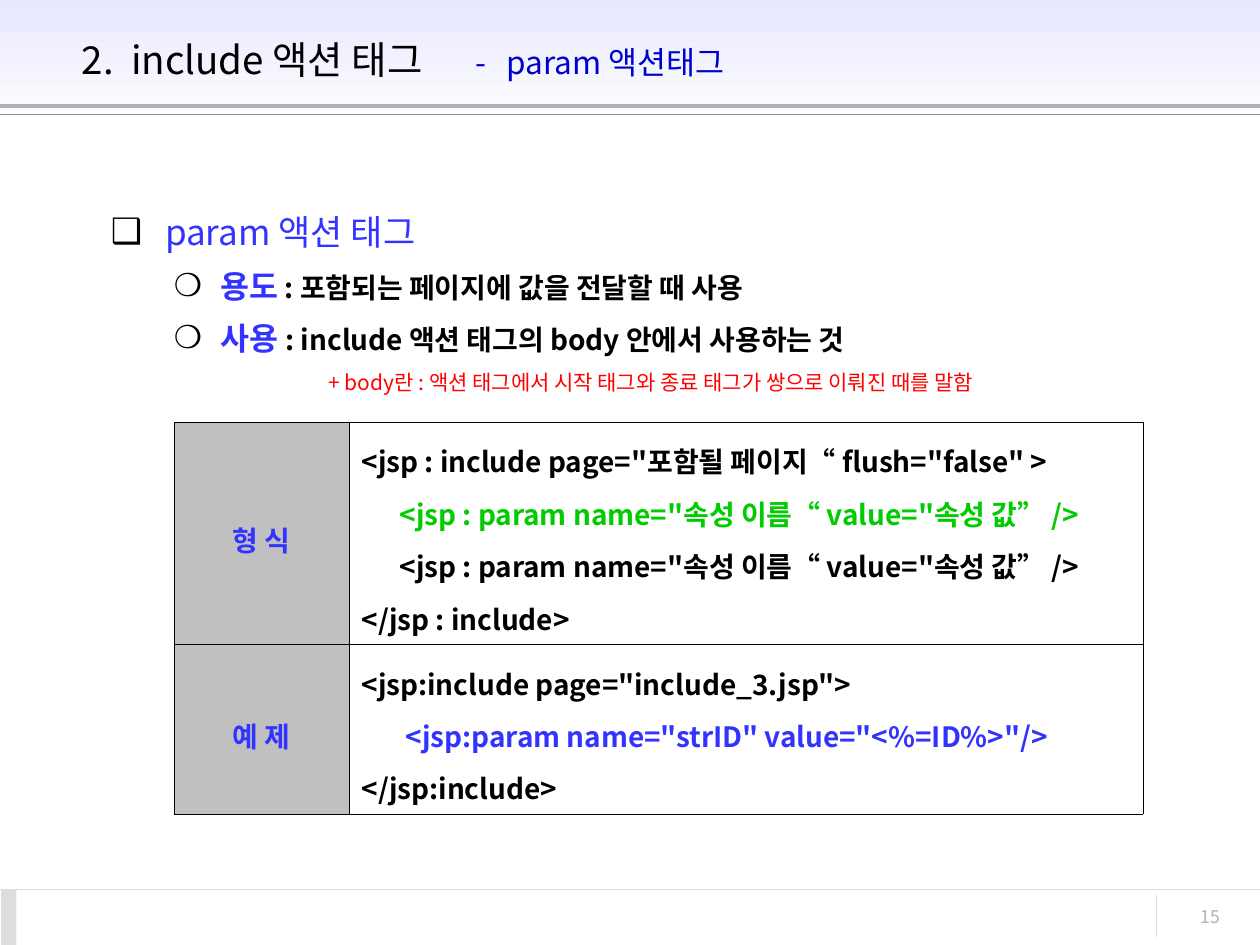
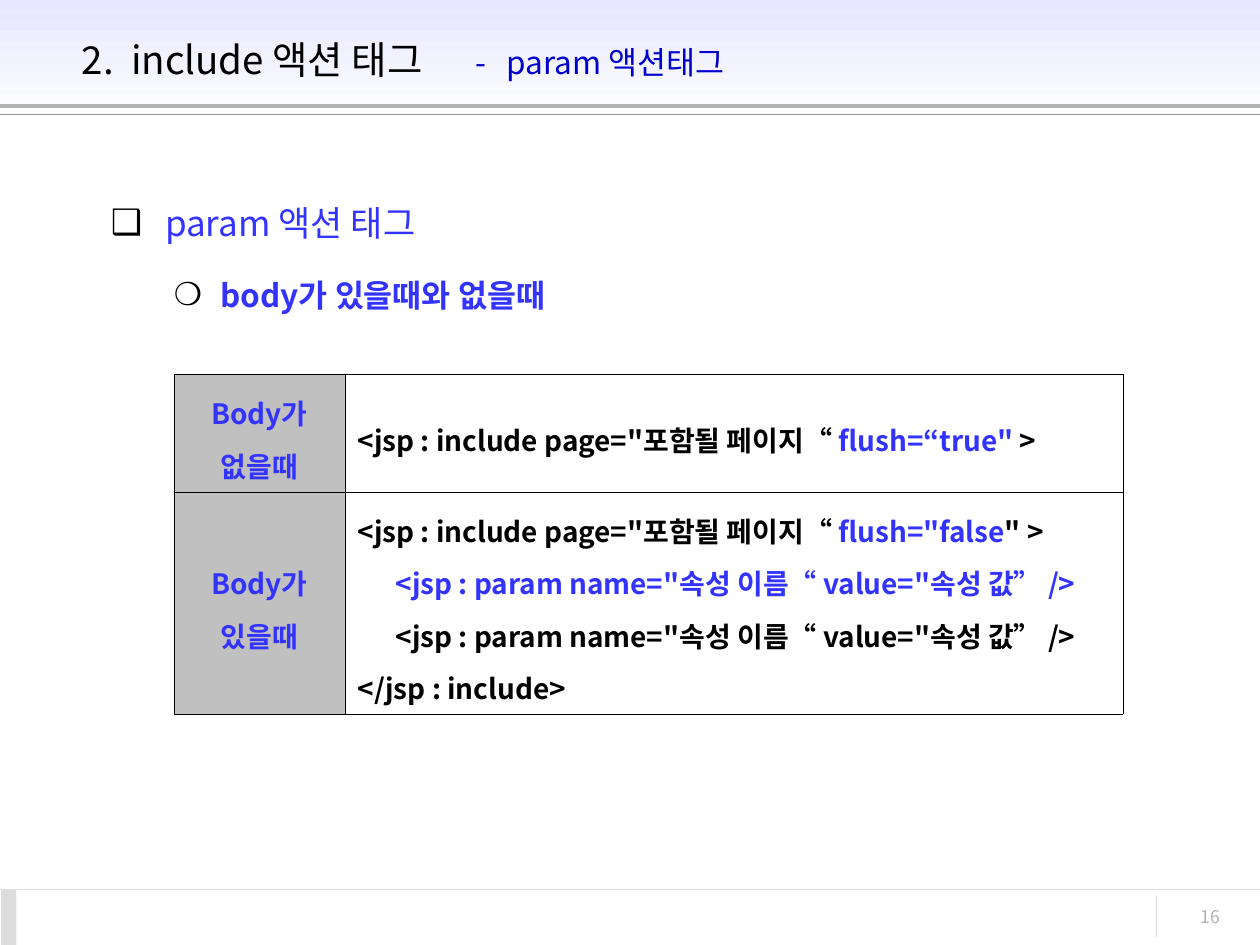
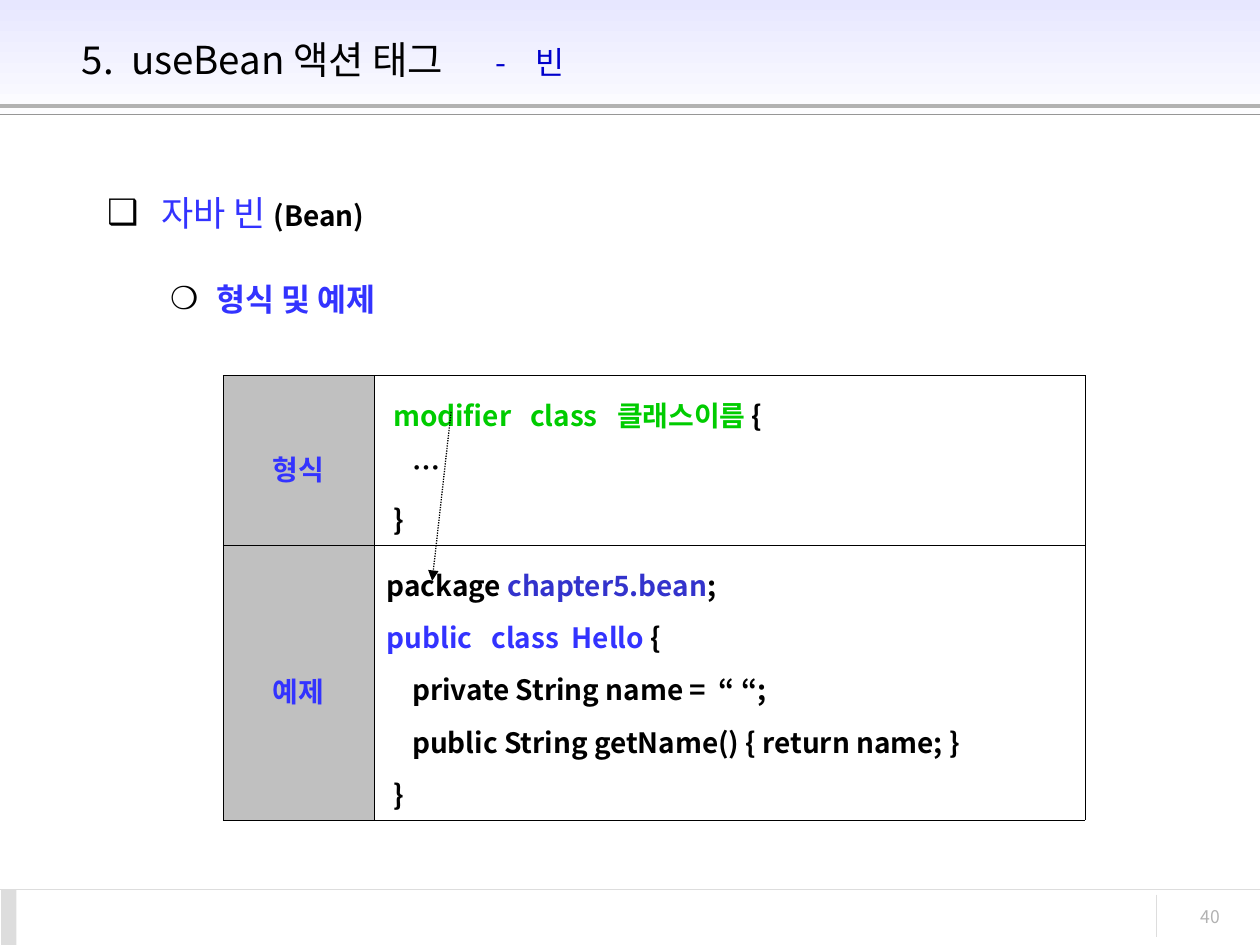
from dataclasses import dataclass, replace

from lxml.etree import SubElement
from pptx import Presentation
from pptx.dml.color import RGBColor
from pptx.enum.dml import MSO_LINE_DASH_STYLE as Dash
from pptx.enum.shapes import MSO_CONNECTOR as Connector, MSO_SHAPE as Shape
from pptx.enum.text import MSO_ANCHOR as Anchor, MSO_AUTO_SIZE as AutoSize, PP_ALIGN as Align
from pptx.oxml import parse_xml
from pptx.oxml.ns import nsdecls, qn
from pptx.util import Inches, Pt

FONT = "Noto Sans CJK KR"
CELL = Inches(0.1)  # the slide is a grid of 100 columns and 75 rows
COLUMNS, ROWS = 100, 75

BLACK = RGBColor(0x00, 0x00, 0x00)
WHITE = RGBColor(0xFF, 0xFF, 0xFF)
BLUE = RGBColor(0x33, 0x33, 0xFF)
PACKAGE_BLUE = RGBColor(0x33, 0x33, 0xCC)
SUBTITLE_BLUE = RGBColor(0x00, 0x00, 0xCC)
GREEN = RGBColor(0x00, 0xCC, 0x00)
RED = RGBColor(0xFF, 0x00, 0x00)
LAVENDER = RGBColor(0xE7, 0xE7, 0xFF)
LABEL_GRAY = RGBColor(0xC0, 0xC0, 0xC0)
RULE_GRAY = RGBColor(0xB2, 0xB2, 0xB2)
THIN_RULE_GRAY = RGBColor(0x96, 0x96, 0x96)
FOOTER_GRAY = RGBColor(0xDD, 0xDD, 0xDD)


@dataclass(frozen=True)
class Look:
    size: int
    color: RGBColor = BLACK
    bold: bool = False

    def apply(self, font):
        font.size, font.bold = Pt(self.size), self.bold
        font.color.rgb = self.color


TITLE = Look(22)
SUBTITLE = Look(18, SUBTITLE_BLUE)
TOPIC = Look(20, BLUE)
POINT = Look(18, BLUE, True)
DETAIL = Look(16, BLACK, True)
LABEL = Look(16, BLUE, True)
NOTE = Look(12, RED)
PAGE_NUMBER = Look(10, RULE_GRAY)


def grid(*cells):
    return [round(count * CELL) for count in cells]


def write(paragraph, look, *pieces):
    """Fill a paragraph; a piece is a string or a (string, own look) pair."""
    paragraph.font.name = FONT
    SubElement(paragraph.font._element, qn("a:ea"), typeface=FONT)
    look.apply(paragraph.font)
    for piece in pieces:
        text, own_look = (piece, look) if isinstance(piece, str) else piece
        run = paragraph.add_run()
        run.text = text
        if own_look != look:
            own_look.apply(run.font)


def paragraphs(frame, count):
    return [frame.paragraphs[0]] + [frame.add_paragraph() for _ in range(count - 1)]


def add_tabs(paragraph, stops):
    tabs = SubElement(paragraph._p.get_or_add_pPr(), qn("a:tabLst"))
    for stop in grid(*stops):
        SubElement(tabs, qn("a:tab"), pos=str(stop), algn="l")


def add_bullet(paragraph, symbol, margin, hanging):
    properties = paragraph._p.get_or_add_pPr()
    left, indent = grid(margin, -hanging)
    properties.set("marL", str(left))
    properties.set("indent", str(indent))
    color = SubElement(properties, qn("a:buClr"))
    SubElement(color, qn("a:srgbClr"), val=str(BLACK))
    SubElement(properties, qn("a:buChar"), char=symbol)


def border(cell):
    properties = cell._tc.get_or_add_tcPr()
    for place, side in enumerate(("lnL", "lnR", "lnT", "lnB")):
        properties.insert(place, parse_xml(
            f'<a:{side} {nsdecls("a")} w="{Pt(0.11)}"><a:solidFill>'
            f'<a:srgbClr val="{BLACK}"/></a:solidFill></a:{side}>'))


class Lecture:
    def __init__(self):
        self.deck = Presentation()
        self.deck.slide_width, self.deck.slide_height = grid(COLUMNS, ROWS)
        self.layout = self.deck.slide_layouts[1]
        self.slide = None

    def start(self, page, title, subtitle, stops):
        first = self.slide is None
        self.slide = self.deck.slides.add_slide(self.layout)
        if first:
            self.share_frame()
        self.heading(title, subtitle, stops)
        self.text((88.6, 71.4, 9.2, 3.3), PAGE_NUMBER, str(page), align=Align.RIGHT)

    def share_frame(self):
        """Draw the bands and rules, then hand them to the layout."""
        header = self.block((0, 0, COLUMNS, 10))
        header.fill.gradient()
        header.fill.gradient_angle = 270
        for stop, color in zip(header.fill.gradient_stops, (LAVENDER, WHITE)):
            stop.color.rgb = color
        footer_mark = self.block((0.1, 70.6, 1.2, 4.4))
        footer_mark.fill.solid()
        footer_mark.fill.fore_color.rgb = FOOTER_GRAY
        rules = [
            self.line((0, 8.4), (COLUMNS, 8.4), RULE_GRAY, 2.25),
            self.line((0, 9.1), (COLUMNS, 9.1), THIN_RULE_GRAY),
            self.line((0, 70.6), (COLUMNS, 70.6), FOOTER_GRAY),
            self.line((91.8, 71), (91.8, 74.4), FOOTER_GRAY),
        ]
        for number, part in enumerate([header, footer_mark, *rules], start=20):
            part.element.xpath(".//p:cNvPr")[0].set("id", str(number))
            self.layout.shapes.element.append(part.element)

    def block(self, box):
        block = self.slide.shapes.add_shape(Shape.RECTANGLE, *grid(*box))
        block.shadow.inherit = False
        block.line.fill.background()
        return block

    def line(self, start, end, color, width=0.75):
        line = self.slide.shapes.add_connector(Connector.STRAIGHT, *grid(*start, *end))
        line.line.color.rgb, line.line.width = color, Pt(width)
        SubElement(line.element.spPr, qn("a:effectLst"))
        return line

    def dotted_arrow(self, start, end):
        arrow = self.line(start, end, BLACK)
        arrow.line.dash_style = Dash.ROUND_DOT
        SubElement(arrow.element.spPr.find(qn("a:ln")), qn("a:tailEnd"), type="triangle")

    def text(self, box, look, words, align=Align.LEFT, wrap=True):
        frame = self.slide.shapes.add_textbox(*grid(*box)).text_frame
        frame.word_wrap = wrap
        frame.auto_size = AutoSize.NONE if wrap else AutoSize.SHAPE_TO_FIT_TEXT
        frame.paragraphs[0].alignment = align
        write(frame.paragraphs[0], look, words)

    def place(self, holder, box):
        holder.left, holder.top, holder.width, holder.height = grid(*box)
        holder.text_frame.auto_size = AutoSize.NONE
        return holder.text_frame

    def heading(self, title, subtitle, stops):
        frame = self.place(self.slide.shapes.title, (5.5, 1.3, 86.3, 6.8))
        frame.vertical_anchor = Anchor.MIDDLE
        heading = frame.paragraphs[0]
        heading.alignment = Align.LEFT
        add_tabs(heading, stops)
        write(heading, TITLE, title + "\t", (subtitle, SUBTITLE))

    def outline(self, left, top, topic, *points, gap=0, before=4.5):
        """Write a topic and the points below it; each is a list of pieces."""
        frame = self.place(self.slide.placeholders[1], (left, top, 86.7, 49.5))
        for rank, line in enumerate(paragraphs(frame, 1 + len(points))):
            if rank:
                line.level = 1
                add_bullet(line, "❍", 8.7, 3.7)
            else:
                add_bullet(line, "❑", 4.3, 4.3)
            line.line_spacing = 1.2
            line.space_before = Pt(before if rank else 0)
            line.space_after = Pt(0 if rank else gap)
            write(line, POINT if rank else TOPIC, *(points[rank - 1] if rank else topic))

    def code_table(self, left, top, columns, rows, label_spacing=1.3):
        """Each row is (height, label lines, code lines); a line is a list of pieces."""
        heights = [height for height, _, _ in rows]
        table = self.slide.shapes.add_table(
            len(rows), 2, *grid(left, top, sum(columns), sum(heights))).table
        table.first_row = table.horz_banding = False
        for column, width in zip(table.columns, grid(*columns)):
            column.width = width
        for index, (height, label, code) in enumerate(rows):
            table.rows[index].height = grid(height)[0]
            label_cell, code_cell = table.cell(index, 0), table.cell(index, 1)
            label_cell.fill.solid()
            label_cell.fill.fore_color.rgb = LABEL_GRAY
            code_cell.fill.background()
            self.fill_cell(label_cell, LABEL, label, Align.CENTER, label_spacing)
            self.fill_cell(code_cell, DETAIL, code, Align.JUSTIFY, 1.3)

    def fill_cell(self, cell, look, lines, align, spacing):
        cell.vertical_anchor = Anchor.MIDDLE
        border(cell)
        for paragraph, line in zip(paragraphs(cell.text_frame, len(lines)), lines):
            paragraph.alignment, paragraph.line_spacing = align, spacing
            write(paragraph, look, *line)


def tinted(text, color):
    return text, replace(DETAIL, color=color)


def include_body(flush, param_color):
    """Code lines of an include tag with two params, the first one tinted."""
    param = '      <jsp : param name="속성 이름“ value="속성 값” />'
    return [['<jsp : include page="포함될 페이지“ ', *flush],
            [tinted(param, param_color)], [param], ["</jsp : include>"]]


def param_usage(lecture):
    lecture.start(15, "2.\tinclude 액션 태그", "-\tparam 액션태그", (3.9, 31.2, 33.7))
    lecture.outline(
        7.8, 15.5, ["param 액션 태그"],
        ["용도", (" : 포함되는 페이지에 값을 전달할 때 사용", DETAIL)],
        ["사용 ", (": include 액션 태그의 body 안에서 사용하는 것", DETAIL)],
        before=4)
    lecture.code_table(13.8, 33.5, (13.9, 63), [
        (15.5, [["형 식"]], include_body(['flush="false" >'], GREEN)),
        (11.4, [["예 제"]], [
            ['<jsp:include page="include_3.jsp">'],
            [tinted('       <jsp:param name="strID" value="<%=ID%>"/>', BLUE)],
            ["</jsp:include>"]]),
    ])
    lecture.text((25.1, 28.8, 55.4, 3), NOTE,
                 "+ body란 : 액션 태그에서 시작 태그와 종료 태그가 쌍으로 이뤄진 때를 말함",
                 wrap=False)


def body_or_not(lecture):
    lecture.start(16, "2.\tinclude 액션 태그", "-\tparam 액션태그", (3.9, 31.2, 33.7))
    lecture.outline(7.8, 14.8, ["param 액션 태그"], ["body가 있을때와 없을때"], gap=10)
    lecture.code_table(13.8, 29.7, (13.6, 61.7), [
        (8.6, [["Body가"], ["없을때"]],
         [['<jsp : include page="포함될 페이지“ ', tinted('flush=“true"', BLUE), " >"]]),
        (14.9, [["Body가"], ["있을때"]],
         include_body([tinted('flush="false', BLUE), '" >'], BLUE)),
    ])


def java_bean(lecture):
    lecture.start(40, "5.\tuseBean 액션 태그", "-\t빈", (3.9, 32.8, 36))
    lecture.outline(7.5, 14, ["자바 빈 ", ("(Bean)", DETAIL)], ["형식 및 예제"], gap=18)
    lecture.code_table(17.7, 29.8, (12, 56.4), [
        (11.4, [["형식"]], [
            [" ", tinted("modifier   class   클래스이름 ", GREEN), "{"],
            ["    …"],
            [" }"]]),
        (18.3, [["예제"]], [
            ["package ", tinted("chapter5.bean", PACKAGE_BLUE), ";"],
            [tinted("public   class  Hello", BLUE), " {"],
            ["    private String name =  “ “;"],
            ["    public String getName() { return name; }"],
            [" }"]]),
    ], label_spacing=1.4)
    lecture.dotted_arrow((35.8, 32.7), (34.3, 46.1))


def main():
    lecture = Lecture()
    for build in (param_usage, body_or_not, java_bean):
        build(lecture)
    lecture.deck.save("out.pptx")


if __name__ == "__main__":
    main()
